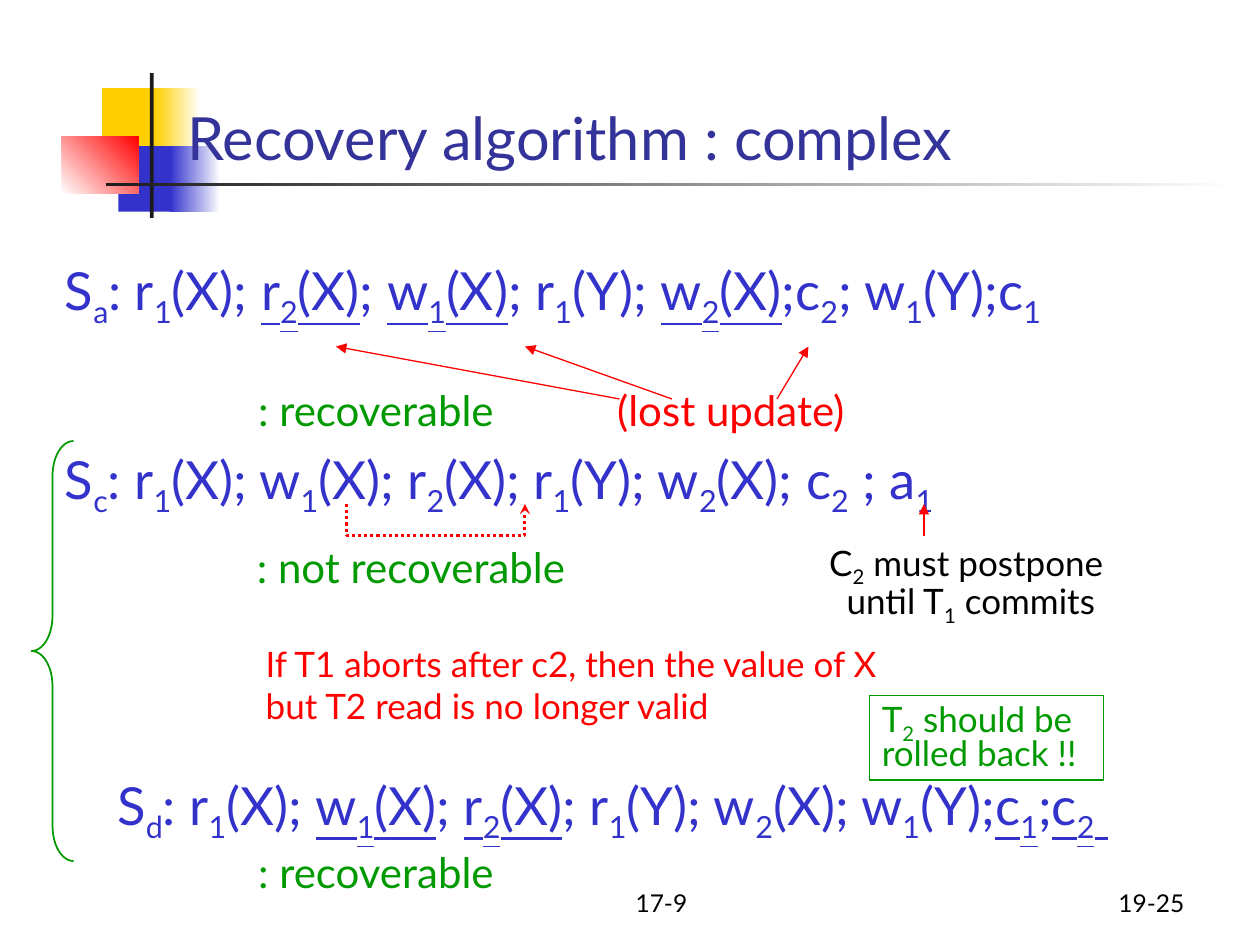
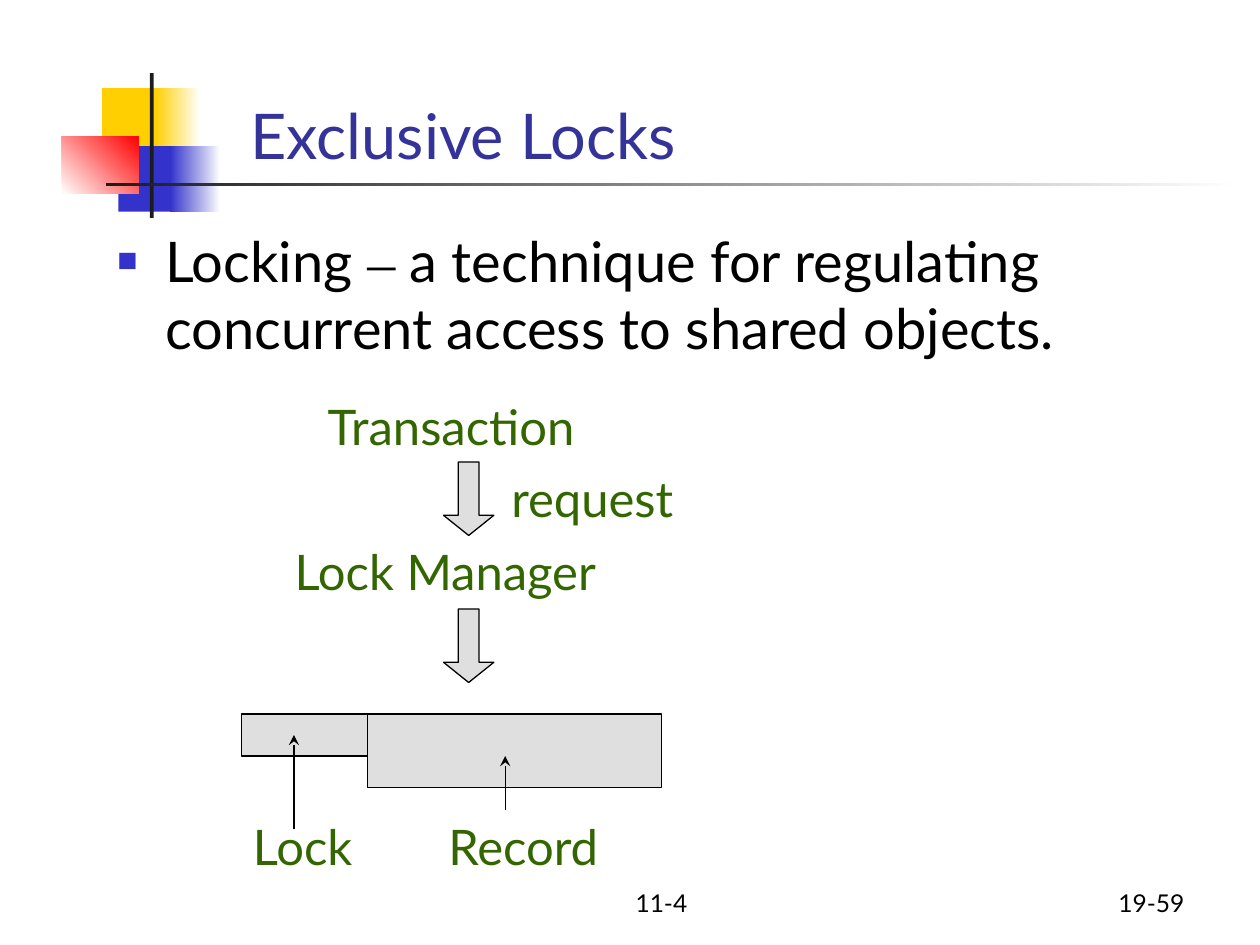
from dataclasses import dataclass

from lxml import etree
from pptx import Presentation
from pptx.dml.color import RGBColor
from pptx.enum.dml import MSO_LINE
from pptx.enum.shapes import MSO_CONNECTOR, MSO_SHAPE
from pptx.enum.text import MSO_ANCHOR, MSO_AUTO_SIZE, PP_ALIGN
from pptx.oxml.ns import qn
from pptx.util import Inches, Pt

RECT, BRACE, DOWN = MSO_SHAPE.RECTANGLE, MSO_SHAPE.LEFT_BRACE, MSO_SHAPE.DOWN_ARROW
STRAIGHT, DOTS = MSO_CONNECTOR.STRAIGHT, MSO_LINE.ROUND_DOT
LEFT, MID, RIGHT = PP_ALIGN.LEFT, PP_ALIGN.CENTER, PP_ALIGN.RIGHT
TOP, BASE = MSO_ANCHOR.TOP, MSO_ANCHOR.BOTTOM
GROW, FIXED = MSO_AUTO_SIZE.SHAPE_TO_FIT_TEXT, MSO_AUTO_SIZE.NONE

COLS, ROWS = 120, 90
CELL = Inches(1) // 12
FONT, DASH = "Lato", "Times New Roman"
HUES = {
    "black": "000000", "white": "FFFFFF", "ink": "1C1C1C", "title": "333399",
    "blue": "3333CC", "gold": "FFCF01", "red": "FF0000", "green": "009900",
    "moss": "336600", "grey": "C0C0C0",
}


@dataclass(frozen=True)
class Area:
    """A place on the grid, in columns and rows."""
    col: float
    row: float
    wide: float
    high: float

    def emu(self) -> list[int]:
        return [round(v * CELL) for v in (self.col, self.row, self.wide, self.high)]


@dataclass(frozen=True)
class Block:
    """A logo block; with a second hue it fades from the first."""
    area: Area
    hue: str
    fade: str = ""
    angle: int = 0


@dataclass(frozen=True)
class Label:
    """Text where _ lowers the next letter and | toggles underline."""
    area: Area
    text: str
    size: int
    hue: str
    align: PP_ALIGN = LEFT
    anchor: MSO_ANCHOR = TOP
    wrap: bool = False
    lead: float = 1.0
    frame: str = ""


@dataclass(frozen=True)
class Arrow:
    start: tuple[float, float]
    end: tuple[float, float]
    hue: str
    head: str


BLOCKS = [
    Block(Area(9.72, 8.4, 5.76, 6.24), "gold"),
    Block(Area(14.76, 8.4, 4.32, 6.24), "gold", "white"),
    Block(Area(11.28, 13.92, 5.52, 6.24), "blue"),
    Block(Area(16.2, 13.92, 4.8, 6.24), "blue", "white"),
    Block(Area(5.88, 12.96, 7.32, 5.52), "white", "red", 45),
    Block(Area(14.28, 6.96, 0.36, 13.8), "ink"),
    Block(Area(10.08, 17.4, 108, 0.36), "ink", "white"),
]


def rgb(hue: str) -> RGBColor:
    return RGBColor.from_string(HUES[hue])


def stroke(item, hue: str, width: float = 0.75, head: str = "") -> None:
    item.line.color.rgb = rgb(hue)
    item.line.width = Pt(width)
    if head:
        etree.SubElement(item.line._get_or_add_ln(), qn("a:tailEnd"), type=head)


def shape(slide, kind: MSO_SHAPE, area: Area):
    """Add a bare shape without shadow, fill or line."""
    item = slide.shapes.add_shape(kind, *area.emu())
    item.shadow.inherit = False
    item.fill.background()
    item.line.fill.background()
    return item


def block(slide, part: Block) -> None:
    fill = shape(slide, RECT, part.area).fill
    if not part.fade:
        fill.solid()
        fill.fore_color.rgb = rgb(part.hue)
        return
    fill.gradient()
    fill.gradient_angle = part.angle
    for stop, hue in zip(fill.gradient_stops, (part.hue, part.fade)):
        stop.color.rgb = rgb(hue)


def glass(slide, kind: MSO_SHAPE, area: Area):
    """Add a half-clear grey shape with a black line."""
    item = shape(slide, kind, area)
    item.fill.solid()
    item.fill.fore_color.rgb = rgb("grey")
    tint = item.fill._xPr.find(f".//{qn('a:srgbClr')}")
    etree.SubElement(tint, qn("a:alpha"), val="50000")
    stroke(item, "black")
    return item


def spans(para, text: str) -> None:
    """Split marked text into runs."""
    under = low = False
    run = None
    for char in text:
        if char == "|":
            under, run = not under, None
        elif char == "_":
            low, run = True, None
        elif char == "\v":
            para.add_line_break()
            run = None
        else:
            if run is None:
                run = para.add_run()
                run.font.underline = under
                if low:
                    run.font._element.set("baseline", "-25000")
            run.text += char
            if low:
                low, run = False, None


def label(slide, item: Label):
    box = slide.shapes.add_textbox(*item.area.emu())
    frame = box.text_frame
    frame.word_wrap = item.wrap
    frame.auto_size = FIXED if item.wrap else GROW
    frame.vertical_anchor = item.anchor
    para = frame.paragraphs[0]
    if "_" in item.text:
        spans(para, item.text)
    else:
        para.text = item.text
    para.alignment = item.align
    para.line_spacing = item.lead
    for run in para.runs:
        run.font.name = FONT
        run.font.size = Pt(item.size)
        run.font.color.rgb = rgb(item.hue)
    if item.frame:
        stroke(box, item.frame)
    return box


def arrow(slide, item: Arrow) -> None:
    ends = [round(v * CELL) for v in (*item.start, *item.end)]
    line = slide.shapes.add_connector(STRAIGHT, *ends)
    stroke(line, item.hue, head=item.head)
    etree.SubElement(line._element.spPr, qn("a:effectLst"))


def bullet(para) -> None:
    """Hang the paragraph on a small blue square."""
    props = para._p.get_or_add_pPr()
    indent = Inches(0.38)
    props.set("marL", str(indent))
    props.set("indent", str(-indent))
    tone = etree.SubElement(props, qn("a:buClr"))
    etree.SubElement(tone, qn("a:srgbClr"), val=HUES["blue"])
    etree.SubElement(props, qn("a:buSzPct"), val="60000")
    etree.SubElement(props, qn("a:buFont"), typeface="Arial")
    etree.SubElement(props, qn("a:buChar"), char="■")


def page(deck, title: Label, mark: str, number: str):
    """Add a slide with the logo blocks, footers and title."""
    slide = deck.slides.add_slide(deck.slide_layouts[6])
    for part in BLOCKS:
        block(slide, part)
    foot = dict(size=14, hue="black", anchor=BASE, wrap=True)
    label(slide, Label(Area(44, 82, 38, 6), mark, align=MID, **foot))
    label(slide, Label(Area(89, 82, 25, 6), number, align=RIGHT, **foot))
    label(slide, title)
    return slide


def heading(area: Area, text: str, size: int) -> Label:
    return Label(area, text, size, "title", anchor=BASE, wrap=True)


def plan(area: Area, text: str, wrap: bool = True) -> Label:
    """Describe one schedule line."""
    return Label(area, text, 30, "blue", wrap=wrap)


def recovery(deck) -> None:
    title = heading(Area(16.68, 2, 102.24, 15), "Recovery algorithm : complex", 34)
    slide = page(deck, title, "17-9", "19-25")
    label(slide, plan(Area(5, 24, 115, 54),
                      "S_a: r_1(X); |r_2(X)|; |w_1(X)|; r_1(Y); |w_2(X)|;c_2; w_1(Y);c_1"))
    for start, end in [((59, 38), (32, 33)), ((64, 38), (50, 33)), ((74, 38), (77, 33))]:
        arrow(slide, Arrow(start, end, "red", "triangle"))
    notes = [
        Label(Area(57.6, 36, 25.92, 6), "(lost update)", 24, "red"),
        Label(Area(23.4, 36, 26.64, 6), ": recoverable", 24, "green"),
        plan(Area(5, 42, 96, 8),
             "S_c: r_1(X); w_1(X); r_2(X); r_1(Y); w_2(X); c_2 ; a_1"),
        Label(Area(23.28, 51, 34.08, 6), ": not recoverable", 24, "green"),
        Label(Area(76.92, 51.36, 31.08, 8.52),
              "C_2 must postpone \vuntil T_1 commits", 20, "black", MID, lead=0.8),
        Label(Area(24.12, 60.6, 65.04, 9.24),
              "If T1 aborts after c2, then the value of X \vbut T2 read is no longer valid",
              20, "red"),
        Label(Area(82.8, 66.24, 22.32, 8.04), "T_2 should be \vrolled back !!",
              20, "green", lead=0.8, frame="green"),
        plan(Area(10, 73, 98.16, 8),
             "S_d: r_1(X); |w_1(X)|; |r_2(X)|; r_1(Y); w_2(X); w_1(Y);|c_1|;|c_2 |", False),
        Label(Area(23.4, 80, 26.64, 6), ": recoverable", 24, "green"),
    ]
    for note in notes:
        label(slide, note)
    arrow(slide, Arrow((88, 51), (88, 48), "red", "triangle"))

    pen = slide.shapes.build_freeform(33, 48, scale=CELL)
    pen.add_line_segments([(33, 51), (50, 51), (50, 48)], close=False)
    read = pen.convert_to_shape()
    read.shadow.inherit = False
    read.fill.background()
    read.line.dash_style = DOTS
    stroke(read, "red", 1.75, "stealth")

    brace = shape(slide, BRACE, Area(3, 42, 4, 40))
    brace.adjustments[0] = 0.83
    stroke(brace, "green", 1)


def locks(deck) -> None:
    title = heading(Area(22.68, 2, 83.28, 15), "Exclusive Locks", 36)
    slide = page(deck, title, "11-4", "19-59")
    topic = label(slide, Label(Area(10, 21, 107, 54), "", 32, "black", wrap=True))
    para = topic.text_frame.paragraphs[0]
    bullet(para)
    for text, font in [("Locking ", FONT), ("–", DASH), (" a technique for regulating", FONT),
                       ("\v", FONT), ("concurrent access to shared objects.", FONT)]:
        if text == "\v":
            para.add_line_break()
            continue
        run = para.add_run()
        run.text = text
        run.font.name = font
        run.font.size = Pt(32)
        run.font.color.rgb = rgb("black")
    for area, text, align in [
        (Area(28.92, 37.2, 28.08, 12.48), "Transaction", MID),
        (Area(47.52, 44, 19.2, 6.84), "request", LEFT),
        (Area(26.88, 51, 33.36, 6.84), "Lock Manager", LEFT),
        (Area(41.52, 77.16, 17.76, 6.84), "Record", LEFT),
        (Area(22.92, 77.16, 12.36, 6.84), "Lock", LEFT),
    ]:
        label(slide, Label(area, text, 28, "moss", align))
    for row in (44, 58):
        down = glass(slide, DOWN, Area(42.24, row, 4.8, 7))
        down.adjustments[0] = 0.41
        down.adjustments[1] = 0.4
    glass(slide, RECT, Area(35, 68, 28, 7))
    glass(slide, RECT, Area(23, 68, 12, 4))
    arrow(slide, Arrow((48.12, 77.16), (48.12, 72), "black", "stealth"))
    arrow(slide, Arrow((28, 79), (28, 70), "black", "stealth"))


def main() -> None:
    deck = Presentation()
    deck.slide_width, deck.slide_height = COLS * CELL, ROWS * CELL
    recovery(deck)
    locks(deck)
    deck.save("out.pptx")


if __name__ == "__main__":
    main()
